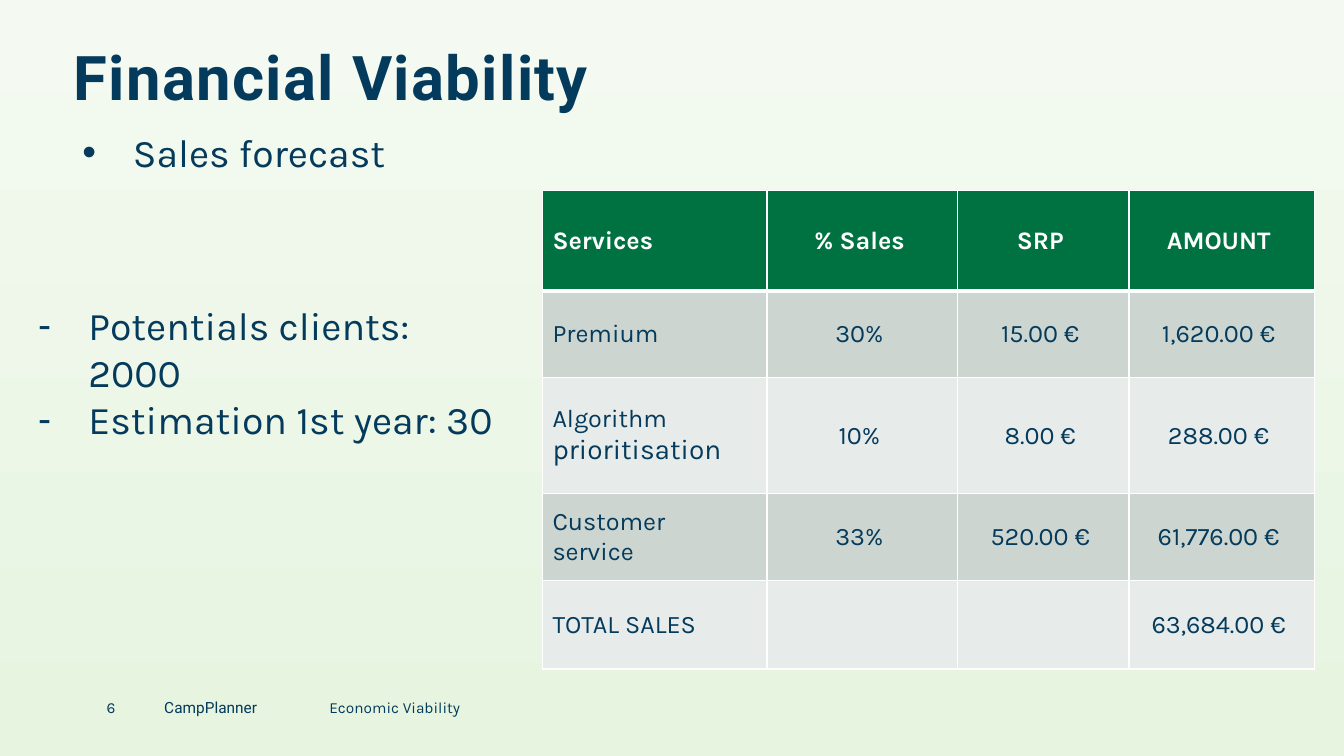
from lxml import etree
from pptx import Presentation
from pptx.dml.color import RGBColor
from pptx.enum.text import MSO_ANCHOR, MSO_AUTO_SIZE, PP_ALIGN
from pptx.oxml.ns import qn
from pptx.util import Cm, Pt

COLORS = {
    "ink": "043A5B",
    "header": "007242",
    "band_dark": "CCD5CF",
    "band_light": "E7EBE9",
    "white": "FFFFFF",
    "sky_top": "F4FAF1",
    "sky_bottom": "E6F4E0",
}
SALES_ROWS = [
    ["Services", "% Sales", "SRP", "AMOUNT"],
    ["Premium", "30%", "15.00 €", "1,620.00 €"],
    ["Algorithm prioritisation", "10%", "8.00 €", "288.00 €"],
    ["Customer service", "33%", "520.00 €", "61,776.00 €"],
    ["TOTAL SALES", "", "", "63,684.00 €"],
]
COLUMN_WIDTHS = [5.66, 4.8, 4.32, 4.67]
ROW_HEIGHTS = [2.54, 2.18, 2.92, 2.18, 2.24]


def color(name):
    return RGBColor.from_string(COLORS[name])


def add_text(paragraph, text, size=11, font="Karla", ink="ink", bold=False,
             align=PP_ALIGN.LEFT, spacing=None):
    paragraph.alignment = align
    run = paragraph.add_run()
    run.text = text
    run.font.size = Pt(size)
    run.font.name = font
    run.font.bold = bold
    run.font.color.rgb = color(ink)
    if spacing:
        run._r.get_or_add_rPr().set("spc", str(spacing))


def set_bullet(paragraph, character, indent=Cm(1.27)):
    properties = paragraph._p.get_or_add_pPr()
    properties.set("marL", str(indent))
    properties.set("indent", str(-indent))
    etree.SubElement(properties, qn("a:buFont")).set("typeface", "Arial")
    etree.SubElement(properties, qn("a:buChar")).set("char", character)


def clear_margins(frame):
    frame.margin_left = frame.margin_right = 0
    frame.margin_top = frame.margin_bottom = 0


def add_frame(slide, left, top, width, height):
    frame = slide.shapes.add_textbox(Cm(left), Cm(top), Cm(width), Cm(height)).text_frame
    frame.word_wrap = True
    return frame


def paint_background(slide):
    fill = slide.background.fill
    fill.gradient()
    fill.gradient_angle = 270
    for stop, position, name in zip(fill.gradient_stops, (0, 1), ("sky_top", "sky_bottom")):
        stop.position = position
        stop.color.rgb = color(name)


def place_title(slide, left, top, width, height):
    title = slide.shapes.title
    title.left, title.top, title.width, title.height = map(Cm, (left, top, width, height))
    frame = title.text_frame
    clear_margins(frame)
    frame.auto_size = MSO_AUTO_SIZE.NONE
    frame.word_wrap = True
    frame.vertical_anchor = MSO_ANCHOR.BOTTOM
    paragraph = frame.paragraphs[0]
    paragraph.line_spacing = 0.9
    add_text(paragraph, "Financial Viability", size=44, font="Roboto", bold=True, spacing=100)


def add_bullet_list(slide, left, top, width, height, items, character):
    frame = add_frame(slide, left, top, width, height)
    for index, item in enumerate(items):
        paragraph = frame.add_paragraph() if index else frame.paragraphs[0]
        set_bullet(paragraph, character)
        add_text(paragraph, item, size=28)


def set_borders(cell, bottom_width):
    properties = cell._tc.get_or_add_tcPr()
    for side, width in (("L", 1), ("R", 1), ("T", 1), ("B", bottom_width)):
        line = etree.SubElement(properties, qn(f"a:ln{side}"), w=str(Pt(width)))
        fill = etree.SubElement(line, qn("a:solidFill"))
        etree.SubElement(fill, qn("a:srgbClr"), val=COLORS["white"])


def format_cell(cell, text, row, column):
    header = row == 0
    set_borders(cell, 3 if header else 1)
    cell.fill.solid()
    cell.fill.fore_color.rgb = color(
        "header" if header else "band_dark" if row % 2 else "band_light")
    cell.vertical_anchor = MSO_ANCHOR.MIDDLE
    cell.margin_right = Cm(0.4 if column else 0.6)
    paragraph = cell.text_frame.paragraphs[0]
    style = {
        "size": 18,
        "ink": "white" if header else "ink",
        "bold": header,
        "align": PP_ALIGN.CENTER if column else PP_ALIGN.LEFT,
    }
    if text == "Algorithm prioritisation":
        # The second word is set slightly larger
        add_text(paragraph, "Algorithm ", **style)
        add_text(paragraph, "prioritisation", **{**style, "size": 20})
    elif text:
        add_text(paragraph, text, **style)


def add_sales_table(slide, left, top):
    table = slide.shapes.add_table(
        len(SALES_ROWS), len(COLUMN_WIDTHS), Cm(left), Cm(top),
        Cm(sum(COLUMN_WIDTHS)), Cm(sum(ROW_HEIGHTS))).table
    for column, width in zip(table.columns, COLUMN_WIDTHS):
        column.width = Cm(width)
    for row, height in zip(table.rows, ROW_HEIGHTS):
        row.height = Cm(height)
    for row, texts in enumerate(SALES_ROWS):
        for column, text in enumerate(texts):
            format_cell(table.cell(row, column), text, row, column)


def add_footer(slide, left, top, height):
    parts = [("6", 1.45, "Karla"), ("CampPlanner", 4.16, "Roboto"),
             ("Economic Viability", 3.66, "Karla")]
    for text, width, font in parts:
        frame = add_frame(slide, left, top, width, height)
        clear_margins(frame)
        add_text(frame.paragraphs[0], text, font=font)
        left += width


def build_sales_slide(presentation):
    slide = presentation.slides.add_slide(presentation.slide_layouts[5])
    paint_background(slide)
    place_title(slide, 1.85, 1.17, 13.72, 1.7)
    add_footer(slide, 2.69, 17.58, 0.69)
    add_bullet_list(slide, 0.71, 7.46, 12.09, 4.63,
                    ["Potentials clients: 2000", "Estimation 1st year: 30"], "-")
    add_bullet_list(slide, 1.83, 3.1, 11.3, 2.24, ["Sales forecast"], "•")
    add_sales_table(slide, 13.67, 4.8)


def main():
    presentation = Presentation()
    presentation.slide_width = Cm(33.87)
    presentation.slide_height = Cm(19.05)
    build_sales_slide(presentation)
    presentation.save("out.pptx")


if __name__ == "__main__":
    main()
